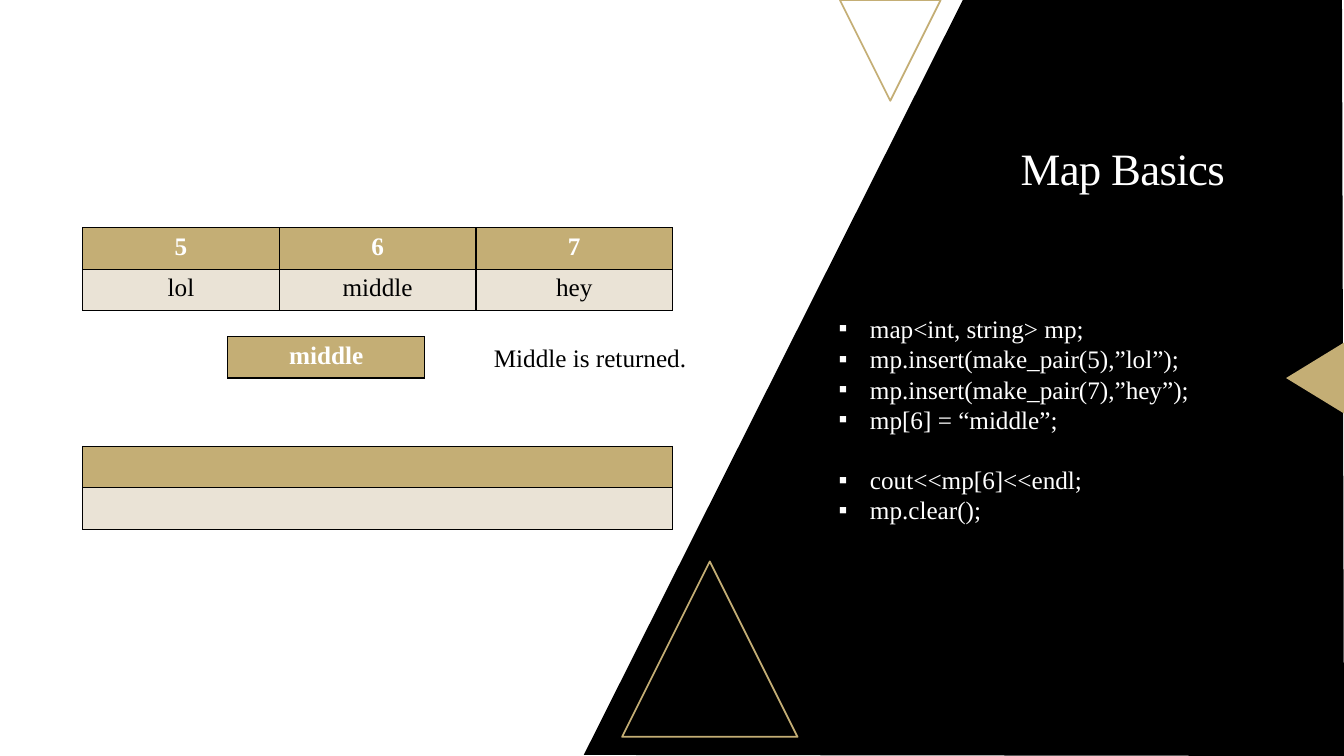
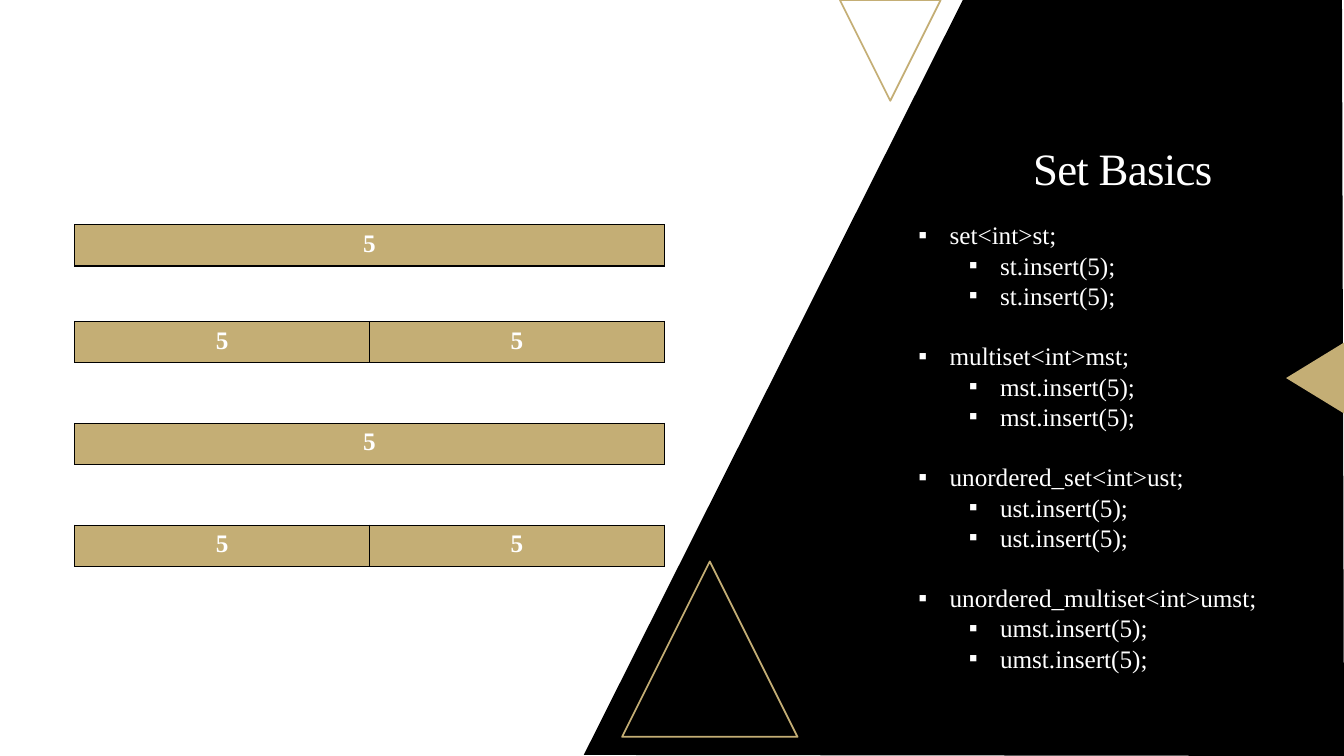
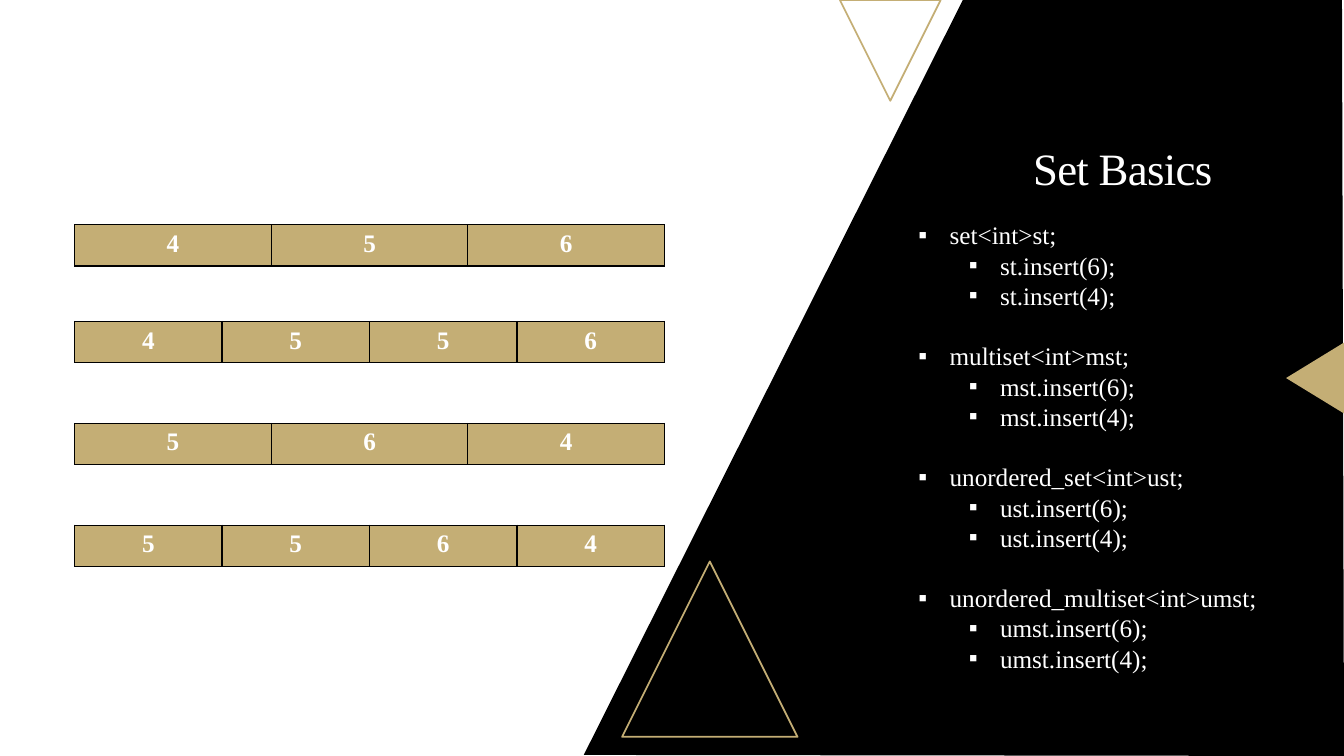
from lxml import etree
from pptx import Presentation
from pptx import util as u
from pptx.dml.color import RGBColor
from pptx.enum import shapes, text
from pptx.oxml.ns import qn

# Colours and type
BLACK = RGBColor(0x00, 0x00, 0x00)
WHITE = RGBColor(0xFF, 0xFF, 0xFF)
GOLD = RGBColor(0xC4, 0xAE, 0x75)
SAND = RGBColor(0xEA, 0xE3, 0xD6)
FONT = "Times New Roman"
CODE_LINE = u.Pt(21.6)

# Table measures in inches
TABLE_WIDTH = 5.85
ROW_HEIGHT = 0.41


def add_text(p, words, size=18, color=BLACK, bold=False, align=None, track=None):
    """Add one formatted run to a paragraph."""
    r = p.add_run()
    r.text = words
    r.font.name = FONT
    r.font.size = u.Pt(size)
    r.font.bold = bold
    r.font.color.rgb = color
    if align is not None:
        p.alignment = align
    if track is not None:
        r.font._element.set("spc", str(int(track * 100)))


class Deck:
    """The style of the slides and the slide being built."""

    def __init__(self):
        self.prs = Presentation()
        self.prs.slide_width = u.Inches(13.33)
        self.prs.slide_height = u.Inches(7.5)
        self.s = None

    def slide(self, title):
        self.s = self.prs.slides.add_slide(self.prs.slide_layouts[6])
        self.panel()
        self.triangle(8.33, 0, 1, 1, rotation=180)
        self.triangle(6.17, 5.57, 1.74, 1.74)
        self.triangle(12.69, 3.46, 0.71, 0.58, rotation=270, filled=True)
        tf = self.box(9.01, 1.13, 4.25, 1.13)
        tf.vertical_anchor = text.MSO_ANCHOR.MIDDLE
        p = tf.paragraphs[0]
        p.line_spacing = 0.9
        add_text(p, title, size=32, color=WHITE, align=text.PP_ALIGN.CENTER, track=-0.5)

    def panel(self):
        """Slanted black panel on the right."""
        corners = [(13.33, 7.5), (5.79, 7.49), (9.55, 0), (13.31, 0)]
        points = [(u.Inches(x), u.Inches(y)) for x, y in corners]
        builder = self.s.shapes.build_freeform(*points[0])
        builder.add_line_segments(points[1:], close=True)
        sp = builder.convert_to_shape()
        sp.shadow.inherit = False
        sp.fill.solid()
        sp.fill.fore_color.rgb = BLACK
        sp.line.fill.background()

    def triangle(self, x, y, w, h, rotation=0, filled=False):
        sp = self.s.shapes.add_shape(
            shapes.MSO_SHAPE.ISOSCELES_TRIANGLE,
            u.Inches(x), u.Inches(y), u.Inches(w), u.Inches(h))
        sp.shadow.inherit = False
        sp.rotation = rotation
        if filled:
            sp.fill.solid()
            sp.fill.fore_color.rgb = GOLD
            sp.line.fill.background()
        else:
            sp.fill.background()
            sp.line.color.rgb = GOLD
            sp.line.width = u.Pt(1.25)

    def box(self, x, y, w, h):
        sp = self.s.shapes.add_textbox(u.Inches(x), u.Inches(y), u.Inches(w), u.Inches(h))
        tf = sp.text_frame
        tf.word_wrap = True
        return tf

    def code(self, x, y, w, h, groups):
        """Bulleted code: groups of (level, line), one line apart."""
        tf = self.box(x, y, w, h)
        p = None
        for i, group in enumerate(groups):
            for j, (level, line) in enumerate(group):
                p = tf.paragraphs[0] if p is None else tf.add_paragraph()
                self.bullet(p, level)
                p.line_spacing = CODE_LINE
                if i and not j:
                    p.space_before = CODE_LINE
                add_text(p, line, color=WHITE)

    def bullet(self, p, level):
        p.level = level
        pPr = p._p.get_or_add_pPr()
        pPr.set("marL", str(u.Inches(0.31 + 0.5 * level)))
        pPr.set("indent", str(u.Inches(-0.31)))
        etree.SubElement(pPr, qn("a:buFont")).set("typeface", FONT)
        etree.SubElement(pPr, qn("a:buChar")).set("char", "▪")

    def table(self, x, y, rows, width=TABLE_WIDTH, dividers=True):
        """Gold first row, sand below; dividers are the inner upright lines."""
        n_rows, n_cols = len(rows), len(rows[0])
        table = self.s.shapes.add_table(
            n_rows, n_cols, u.Inches(x), u.Inches(y),
            u.Inches(width), u.Inches(ROW_HEIGHT * n_rows)).table
        table.first_row = table.horz_banding = False
        for column in table.columns:
            column.width = u.Inches(width / n_cols)
        for i, row in enumerate(rows):
            table.rows[i].height = u.Inches(ROW_HEIGHT)
            for j, words in enumerate(row):
                cell = table.cell(i, j)
                self.border(cell, "L", dividers or j == 0)
                self.border(cell, "R", dividers or j == n_cols - 1)
                self.border(cell, "T")
                self.border(cell, "B")
                cell.fill.solid()
                cell.fill.fore_color.rgb = SAND if i else GOLD
                if words:
                    add_text(cell.text_frame.paragraphs[0], words,
                             color=BLACK if i else WHITE, bold=not i,
                             align=text.PP_ALIGN.CENTER)

    def border(self, cell, side, visible=True):
        ln = etree.SubElement(cell._tc.get_or_add_tcPr(), qn("a:ln" + side))
        ln.set("w", str(u.Pt(1)))
        if visible:
            fill = etree.SubElement(ln, qn("a:solidFill"))
            etree.SubElement(fill, qn("a:srgbClr")).set("val", str(BLACK))
        else:
            etree.SubElement(ln, qn("a:noFill"))


def map_slide(deck):
    deck.slide("Map Basics")
    declare = ["map<int, string> mp;", "mp.insert(make_pair(5),”lol”);",
               "mp.insert(make_pair(7),”hey”);", "mp[6] = “middle”;"]
    use = ["cout<<mp[6]<<endl;", "mp.clear();"]
    deck.code(8.22, 3.06, 5.11, 2.83,
              [[(0, line) for line in lines] for lines in (declare, use)])

    # Filled map, returned value, cleared map
    deck.table(0.82, 2.26, [["5", "6", "7"], ["lol", "middle", "hey"]])
    deck.table(2.26, 3.34, [["middle"]], width=1.95)
    add_text(deck.box(4.8, 3.35, 2.33, 0.4).paragraphs[0], "Middle is returned.")
    deck.table(0.82, 4.43, [[""] * 3] * 2, dividers=False)


def set_slide(deck, inserted, contents, dividers):
    """Four set types, each with two inserts and a bar of its contents."""
    deck.slide("Set Basics")
    kinds = [("set", "st"), ("multiset", "mst"),
             ("unordered_set", "ust"), ("unordered_multiset", "umst")]
    deck.code(9.01, 2.13, 4.32, 4.95, [
        [(0, f"{kind}<int>{name};")] + [(1, f"{name}.insert({n});") for n in inserted]
        for kind, name in kinds])
    for y, values, divided in zip((2.23, 3.19, 4.2, 5.21), contents, dividers):
        deck.table(0.74, y, [values], dividers=divided)


def main():
    deck = Deck()
    map_slide(deck)
    single = ["", "", "5", "", ""]
    pair = ["5", "5"]
    set_slide(deck, (5, 5), [single, pair, single, pair], [False, True, False, True])
    set_slide(deck, (6, 4), ["456", "4556", "564", "5564"], [True] * 4)
    deck.prs.save("out.pptx")


if __name__ == "__main__":
    main()
